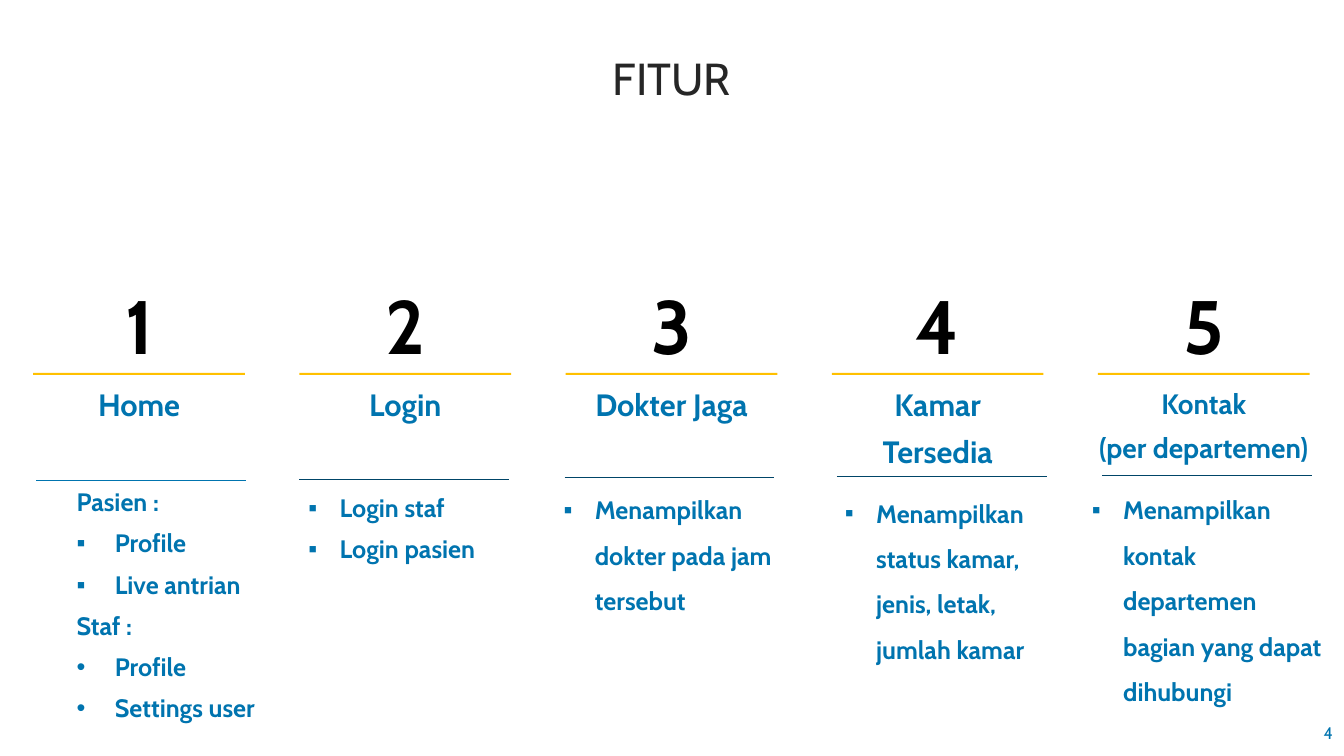
from dataclasses import dataclass

from lxml import etree
from pptx import Presentation
from pptx import util as u
from pptx.dml.color import RGBColor
from pptx.enum import shapes, text
from pptx.oxml.ns import qn


@dataclass(frozen=True)
class Theme:
    font: str = "Cabin"
    blue: str = "0074AF"
    navy: str = "004568"
    gold: str = "FFC000"
    black: str = "000000"
    dark: str = "262626"
    number_size: int = 54
    title_size: int = 32
    heading_size: int = 22
    small_heading_size: int = 20
    body_size: int = 18
    page_size: int = 12


@dataclass(frozen=True)
class Feature:
    heading: tuple
    heading_size: int
    rule_left: float
    rule_top: float
    rule_color: str
    body_left: float
    body_top: float
    body_height: float
    body: tuple
    indent: float = 0.31
    line_spacing: float = 1.5


THEME = Theme()
SQUARE, DOT, PLAIN = "▪", "•", ""
COLUMN_LEFT, COLUMN_STEP, COLUMN_WIDTH = 0.08, 2.64, 2.6
BAR_INSET, BAR_WIDTH, RULE_WIDTH = 0.25, 2.1, 2.08

FEATURES = (
    Feature(("Home",), THEME.heading_size, 0.36, 4.77, THEME.blue, 0.6, 4.81, 2.85,
            ((PLAIN, "Pasien :"), (SQUARE, "Profile"), (SQUARE, "Live antrian"),
             (PLAIN, "Staf :"), (DOT, "Profile"), (DOT, "Settings user")),
            indent=0.38, line_spacing=0.9),
    Feature(("Login",), THEME.heading_size, 2.97, 4.76, THEME.navy, 2.9, 4.87, 0.79,
            ((SQUARE, "Login staf"), (SQUARE, "Login pasien")), line_spacing=0.9),
    Feature(("Dokter Jaga",), THEME.heading_size, 5.6, 4.74, THEME.navy, 5.43, 4.71, 1.46,
            ((SQUARE, "Menampilkan dokter pada jam tersebut"),)),
    Feature(("Kamar", "Tersedia"), THEME.heading_size, 8.3, 4.73, THEME.navy, 8.22, 4.74, 1.92,
            ((SQUARE, "Menampilkan status kamar, jenis, letak, jumlah kamar"),)),
    Feature(("Kontak", "(per departemen)"), THEME.small_heading_size,
            10.93, 4.72, THEME.navy, 10.67, 4.71, 2.37,
            ((SQUARE, "Menampilkan kontak departemen bagian yang dapat dihubungi"),)),
)


def add_bullet(paragraph, mark, indent):
    properties = paragraph._p.get_or_add_pPr()
    properties.set("marL", str(u.Inches(indent)))
    properties.set("indent", str(-u.Inches(indent)))
    etree.SubElement(properties, qn("a:buFont")).set("typeface", "Arial")
    etree.SubElement(properties, qn("a:buChar")).set("char", mark)


def add_text(slide, left, top, width, height, lines, size, color, bold=True,
             align=text.PP_ALIGN.CENTER, line_spacing=0.9, indent=0, inset=0.16):
    shape = slide.shapes.add_textbox(*map(u.Inches, (left, top, width, height)))
    frame = shape.text_frame
    frame.word_wrap = True
    frame.margin_left = frame.margin_right = u.Inches(inset)
    frame.margin_top = frame.margin_bottom = u.Inches(0.05)
    for index, (mark, words) in enumerate(lines):
        paragraph = frame.add_paragraph() if index else frame.paragraphs[0]
        if mark:
            add_bullet(paragraph, mark, indent)
        paragraph.alignment = align
        paragraph.line_spacing = line_spacing
        if index:
            paragraph.space_before = u.Pt(10)
        run = paragraph.add_run()
        run.text = words
        run.font.name = THEME.font
        run.font.size = u.Pt(size)
        run.font.bold = bold
        run.font.color.rgb = RGBColor.from_string(color)
    return shape


def add_bar(slide, left):
    shape = slide.shapes.add_shape(
        shapes.MSO_SHAPE.RECTANGLE, *map(u.Inches, (left, 3.7, BAR_WIDTH, 0.02)))
    shape.shadow.inherit = False
    shape.fill.solid()
    shape.fill.fore_color.rgb = RGBColor.from_string(THEME.gold)
    shape.line.fill.background()


def add_rule(slide, left, top, color):
    connector = slide.shapes.add_connector(
        shapes.MSO_CONNECTOR.STRAIGHT, *map(u.Inches, (left, top, left + RULE_WIDTH, top)))
    connector.line.color.rgb = RGBColor.from_string(color)
    connector.line.width = u.Pt(0.5)
    etree.SubElement(connector._element.spPr, qn("a:effectLst"))


def add_feature(slide, index, feature):
    left = COLUMN_LEFT + index * COLUMN_STEP
    add_bar(slide, left + BAR_INSET)
    add_text(slide, left, 2.82, COLUMN_WIDTH, 0.92, [(PLAIN, str(index + 1))],
             THEME.number_size, THEME.black)
    add_text(slide, left, 3.82, COLUMN_WIDTH, 0.9, [(PLAIN, words) for words in feature.heading],
             feature.heading_size, THEME.blue)
    add_rule(slide, feature.rule_left, feature.rule_top, feature.rule_color)
    add_text(slide, feature.body_left, feature.body_top, COLUMN_WIDTH, feature.body_height,
             feature.body, THEME.body_size, THEME.blue, align=text.PP_ALIGN.LEFT,
             line_spacing=feature.line_spacing, indent=feature.indent)


def main():
    presentation = Presentation()
    presentation.slide_width = u.Inches(13.33)
    presentation.slide_height = u.Inches(7.5)
    slide = presentation.slides.add_slide(presentation.slide_layouts[6])
    add_text(slide, 0, 0.51, 13.33, 1.07, [(PLAIN, "FITUR")], THEME.title_size, THEME.dark,
             bold=False, inset=0.1)
    for index, feature in enumerate(FEATURES):
        add_feature(slide, index, feature)
    page = add_text(slide, 12.85, 7.07, 0.47, 0.4, [(PLAIN, "4")], THEME.page_size, THEME.blue,
                    bold=False, align=text.PP_ALIGN.RIGHT, line_spacing=1.0, inset=0.1)
    page.text_frame.vertical_anchor = text.MSO_ANCHOR.MIDDLE
    presentation.save("out.pptx")


if __name__ == "__main__":
    main()
